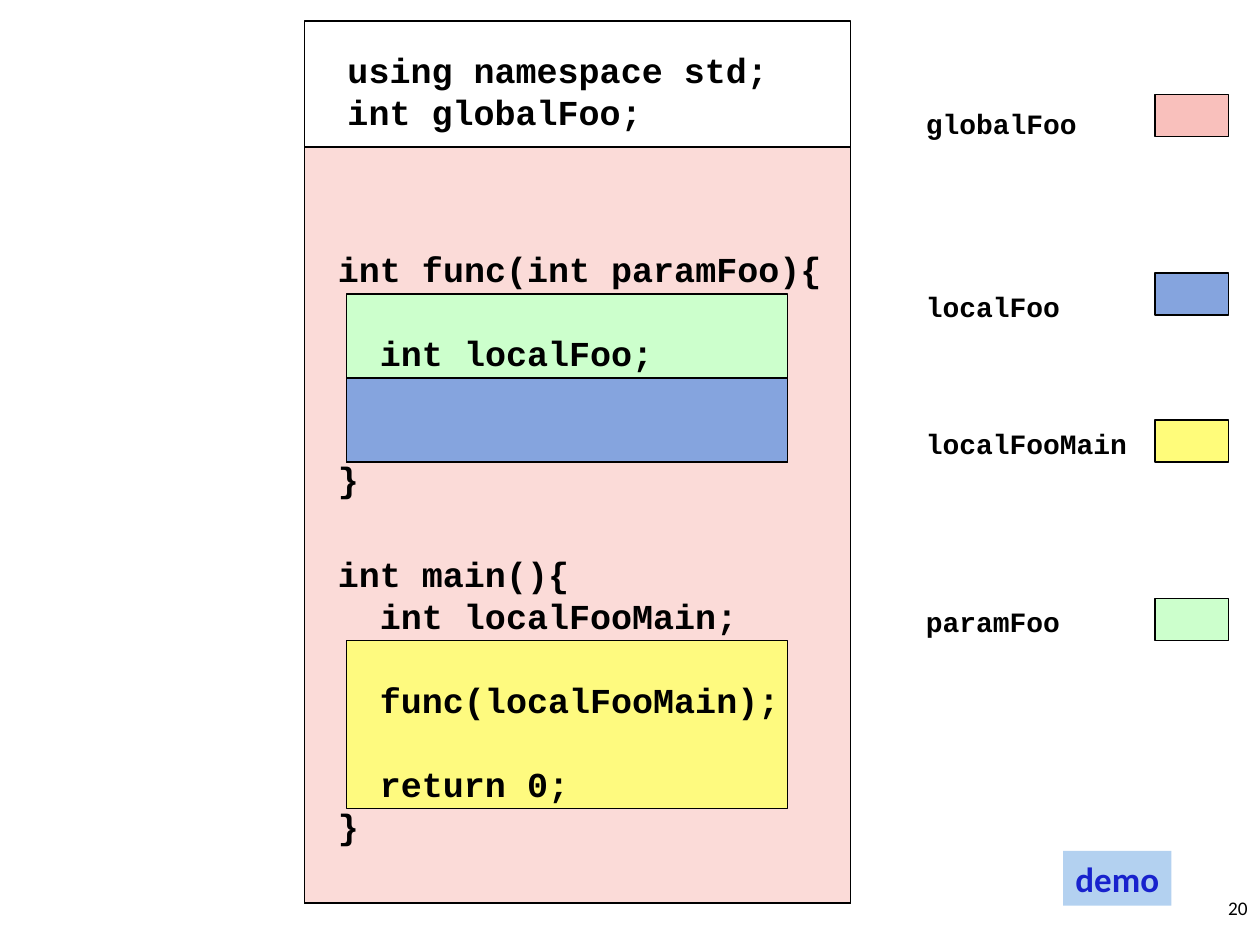
import pptx
import pptx.util
import pptx.dml.color
import pptx.enum.shapes
import pptx.enum.text
import pptx.oxml.ns
import lxml.etree

Pt = pptx.util.Pt
RGBColor = pptx.dml.color.RGBColor
ALIGN = pptx.enum.text.PP_ALIGN
ANCHOR = pptx.enum.text.MSO_ANCHOR

BLACK = RGBColor(0x00, 0x00, 0x00)
PINK = RGBColor(0xF9, 0xC0, 0xBC)
GREEN = RGBColor(0xCC, 0xFF, 0xCC)
BLUE = RGBColor(0x85, 0xA4, 0xDE)
YELLOW = RGBColor(0xFF, 0xFC, 0x7A)
DEMO_FILL = RGBColor(0xB3, 0xD1, 0xF0)
DEMO_TEXT = RGBColor(0x18, 0x22, 0xCD)

CODE_FONT = "Courier New"
LABEL_FONT = "Calibri"
CODE_SIZE = 20
LEGEND_SIZE = 16
LINE_RATIO = 1.2

LEGEND = [
    ("globalFoo", PINK, 54, 57.6),
    ("localFoo", BLUE, 156, 162),
    ("localFooMain", YELLOW, 240, 240),
    ("paramFoo", GREEN, 342, 342),
]


def add_box(s, x, y, w, h, fill=None, alpha=None, outlined=True):
    sp = s.shapes.add_shape(pptx.enum.shapes.MSO_SHAPE.RECTANGLE,
                            Pt(x), Pt(y), Pt(w), Pt(h))
    sp.shadow.inherit = False
    if fill is None:
        sp.fill.background()
    else:
        sp.fill.solid()
        sp.fill.fore_color.rgb = fill
    if alpha is not None:
        qn = pptx.oxml.ns.qn
        clr = sp._element.spPr.find(qn("a:solidFill")).find(qn("a:srgbClr"))
        lxml.etree.SubElement(clr, qn("a:alpha"), val=str(alpha * 1000))
    if outlined:
        sp.line.color.rgb = BLACK
        sp.line.width = Pt(0.75)
    else:
        sp.line.fill.background()
    return sp


def add_run(p, text, size, font, color, bold):
    r = p.add_run()
    r.text = text
    r.font.size = Pt(size)
    r.font.name = font
    r.font.bold = bold
    r.font.color.rgb = color


def add_code(s, x, y, w, h, lines, size=CODE_SIZE, wrap=False):
    tf = s.shapes.add_textbox(Pt(x), Pt(y), Pt(w), Pt(h)).text_frame
    tf.word_wrap = wrap
    pitch = size * LINE_RATIO
    for i, (text, blank_lines) in enumerate(lines):
        p = tf.paragraphs[0] if i == 0 else tf.add_paragraph()
        p.line_spacing = Pt(pitch)
        if blank_lines:
            p.space_before = Pt(blank_lines * pitch)
        add_run(p, text, size, CODE_FONT, BLACK, True)


def add_legend_entry(s, name, color, swatch_y, label_y):
    add_box(s, 660, swatch_y, 42, 24, color)
    width = len(name) * LEGEND_SIZE * 0.6 + 14.4
    add_code(s, 522, label_y, width, 26.6, [(name, 0)], LEGEND_SIZE)


def add_demo_tag(s):
    sp = add_box(s, 607.5, 486.2, 61.9, 31.4, DEMO_FILL, outlined=False)
    tf = sp.text_frame
    tf.word_wrap = False
    tf.vertical_anchor = ANCHOR.TOP
    p = tf.paragraphs[0]
    p.alignment = ALIGN.LEFT
    add_run(p, "demo", 20, LABEL_FONT, DEMO_TEXT, True)


def add_page_number(s):
    tf = s.shapes.add_textbox(Pt(684), Pt(498), Pt(36), Pt(42)).text_frame
    tf.word_wrap = True
    tf.vertical_anchor = ANCHOR.MIDDLE
    p = tf.paragraphs[0]
    p.alignment = ALIGN.RIGHT
    add_run(p, "20", 11, LABEL_FONT, BLACK, False)


def main():
    prs = pptx.Presentation()
    prs.slide_width, prs.slide_height = Pt(720), Pt(540)
    s = prs.slides.add_slide(prs.slide_layouts[6])

    add_box(s, 174, 12, 312, 504)
    add_box(s, 174, 84, 312, 432, PINK, 57)
    add_box(s, 198, 168, 252, 96, GREEN)
    add_code(s, 191.5, 24, 255, 55.4,
             [("using namespace std;", 0), ("int globalFoo;", 0)])
    add_code(s, 186, 138, 306, 151.2,
             [("int func(int paramFoo){", 0), ("  int localFoo;", 1), ("}", 2)],
             wrap=True)
    add_box(s, 198, 366, 252, 96, YELLOW, 94)
    add_code(s, 186, 312, 324, 175.4,
             [("int main(){", 0), ("  int localFooMain;", 0),
              ("  func(localFooMain);", 1), ("  return 0;", 1), ("}", 0)],
             wrap=True)
    add_box(s, 198, 216, 252, 48, BLUE)

    for entry in LEGEND:
        add_legend_entry(s, *entry)
    add_demo_tag(s)
    add_page_number(s)
    prs.save("out.pptx")


if __name__ == "__main__":
    main()
